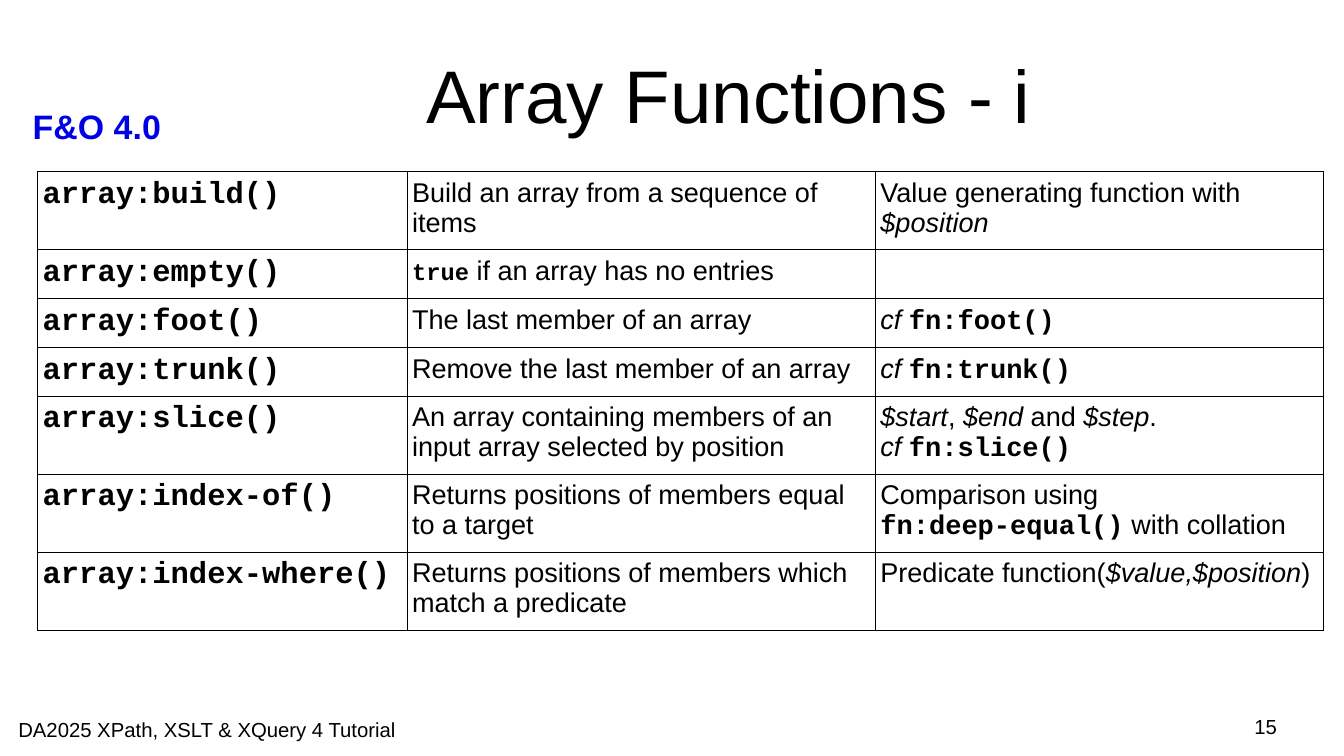
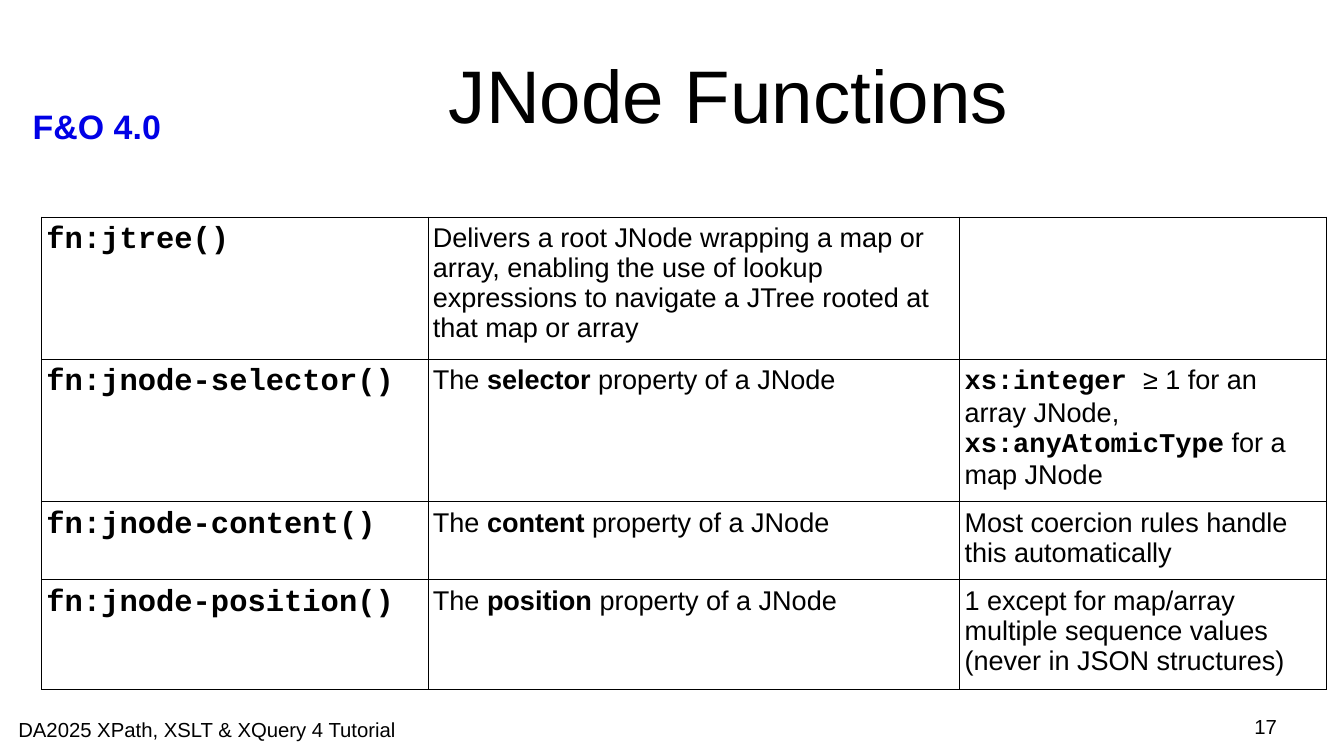
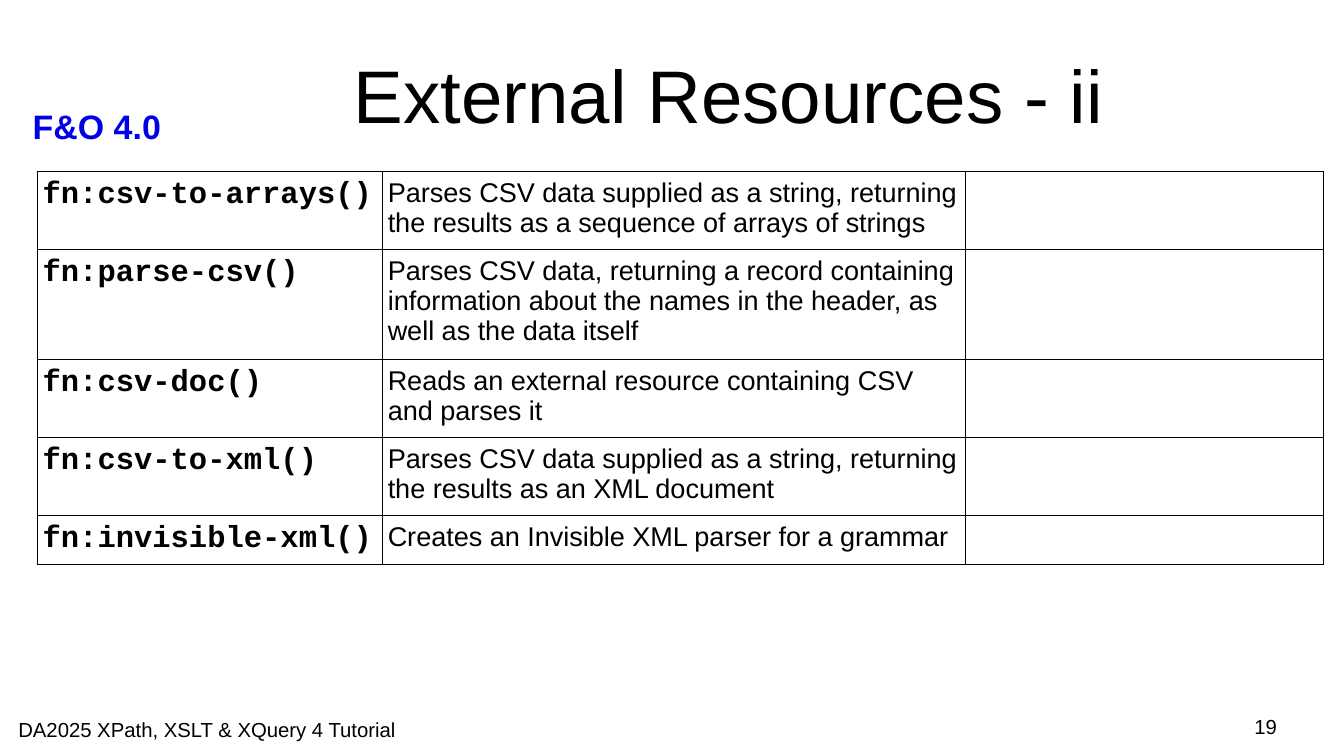
from dataclasses import dataclass

from lxml.etree import SubElement
from pptx import Presentation
from pptx.dml.color import RGBColor
from pptx.enum.text import MSO_ANCHOR as Anchor, PP_ALIGN as Align
from pptx.oxml.ns import qn
from pptx.util import Inches, Pt


@dataclass(frozen=True)
class Theme:
    sans: str = "Arial"
    mono: str = "Courier New"
    ink: str = "000000"
    accent: str = "0000E6"
    title: int = 44
    tag: int = 20
    name: int = 18
    body: int = 16
    small_code: int = 14
    footer: int = 12
    border: float = 0.57


@dataclass(frozen=True)
class Span:
    text: str
    size: int
    font: str = Theme.sans
    bold: bool = False
    italic: bool = False
    color: str = Theme.ink


THEME = Theme()
TAG_BOX = (0.17, 0.82, 1.38, 0.41)
TITLE_BOX = (1.48, 0.25, 8.99, 1.04)
FOOTER_BOX = (0.15, 5.88, 3.49, 0.19)
NUMBER_BOX = (7.9, 5.86, 2.57, 0.24)
ROW_HEIGHTS = {1: 0.4, 2: 0.64, 3: 0.9, 4: 1.16}
BREAK = "\n"


def plain(text):
    return Span(text, THEME.body)


def strong(text):
    return Span(text, THEME.body, bold=True)


def italic(text):
    return Span(text, THEME.body, italic=True)


def code(text, size=THEME.body):
    return Span(text, size, font=THEME.mono, bold=True)


def like(text):
    return [italic("cf "), code(text)]


def property_of_jnode(name):
    return [[plain("The "), strong(name), plain(" property of a JNode")]]


def write_paragraph(para, spans, align=Align.LEFT):
    para.alignment = align
    for span in spans:
        if span == BREAK:
            para.add_line_break()
            continue
        run = para.add_run()
        run.text = span.text
        font = run.font
        font.name, font.size = span.font, Pt(span.size)
        font.bold, font.italic = span.bold, span.italic
        font.color.rgb = RGBColor.from_string(span.color)


def add_label(page, box, span, align=Align.LEFT, anchor=Anchor.TOP, insets=(0, 0)):
    frame = page.shapes.add_textbox(*map(Inches, box)).text_frame
    frame.word_wrap = True
    frame.vertical_anchor = anchor
    frame.margin_left = frame.margin_right = Inches(insets[0])
    frame.margin_top = frame.margin_bottom = Inches(insets[1])
    write_paragraph(frame.paragraphs[0], [span], align)


def outline_cell(cell):
    properties = cell._tc.get_or_add_tcPr()
    for side in ("a:lnL", "a:lnR", "a:lnT", "a:lnB"):
        line = SubElement(properties, qn(side), w=str(Pt(THEME.border)))
        fill = SubElement(line, qn("a:solidFill"))
        SubElement(fill, qn("a:srgbClr"), val=THEME.ink)
    cell.fill.background()


def fill_cell(cell, paragraphs):
    cell.margin_left = cell.margin_right = Inches(0.04)
    cell.margin_top = cell.margin_bottom = Inches(0.05)
    outline_cell(cell)
    frame = cell.text_frame
    for index, spans in enumerate(paragraphs):
        para = frame.add_paragraph() if index else frame.paragraphs[0]
        write_paragraph(para, spans)


def add_function_table(page, left, top, widths, rows):
    heights = [ROW_HEIGHTS[lines] for lines, *_ in rows]
    box = (left, top, sum(widths), sum(heights))
    table = page.shapes.add_table(len(rows), len(widths), *map(Inches, box)).table
    table.first_row = table.horz_banding = False
    for column, width in zip(table.columns, widths):
        column.width = Inches(width)
    for row, height, (_, name, meaning, remark) in zip(table.rows, heights, rows):
        row.height = Inches(height)
        if isinstance(meaning, str):
            meaning = [[plain(meaning)]]
        contents = ([[code(name, THEME.name)]], meaning, remark)
        for cell, paragraphs in zip(row.cells, contents):
            fill_cell(cell, paragraphs)


def add_function_page(deck, number, title, left, top, widths, rows):
    page = deck.slides.add_slide(deck.slide_layouts[6])
    tag = Span("F&O 4.0", THEME.tag, bold=True, color=THEME.accent)
    add_label(page, TAG_BOX, tag, insets=(0.1, 0.05))
    add_label(page, TITLE_BOX, Span(title, THEME.title), Align.CENTER, Anchor.MIDDLE)
    add_function_table(page, left, top, widths, rows)
    footer = Span("DA2025 XPath, XSLT & XQuery 4 Tutorial", THEME.footer)
    add_label(page, FOOTER_BOX, footer)
    add_label(page, NUMBER_BOX, Span(str(number), THEME.footer), Align.RIGHT)


ARRAY_ROWS = [
    (2, "array:build()", "Build an array from a sequence of items",
     [[plain("Value generating function with "), italic("$position")]]),
    (1, "array:empty()",
     [[code("true", THEME.small_code), plain(" if an array has no entries")]], []),
    (1, "array:foot()", "The last member of an array", [like("fn:foot()")]),
    (1, "array:trunk()", "Remove the last member of an array", [like("fn:trunk()")]),
    (2, "array:slice()",
     "An array containing members of an input array selected by position",
     [[italic("$start"), plain(", "), italic("$end"), plain(" and "),
       italic("$step"), plain(".")], like("fn:slice()")]),
    (2, "array:index-of()", "Returns positions of members equal to a target",
     [[plain("Comparison using"), BREAK, code("fn:deep-equal()"),
       plain(" with collation")]]),
    (2, "array:index-where()", "Returns positions of members which match a predicate",
     [[plain("Predicate function("), italic("$value,$position"), plain(")")]]),
]

JNODE_ROWS = [
    (4, "fn:jtree()",
     "Delivers a root JNode wrapping a map or array, enabling the use of lookup "
     "expressions to navigate a JTree rooted at that map or array", []),
    (3, "fn:jnode-selector()", property_of_jnode("selector"),
     [[code("xs:integer "), plain("≥ 1 for an array JNode, "),
       code("xs:anyAtomicType"), plain(" for a map JNode")]]),
    (2, "fn:jnode-content()", property_of_jnode("content"),
     [[plain("Most coercion rules handle this automatically")]]),
    (3, "fn:jnode-position()", property_of_jnode("position"),
     [[plain("1 except for map/array multiple sequence values "
             "(never in JSON structures)")]]),
]

RESOURCE_ROWS = [
    (2, "fn:csv-to-arrays()",
     "Parses CSV data supplied as a string, returning the results as a sequence "
     "of arrays of strings", []),
    (3, "fn:parse-csv()",
     "Parses CSV data, returning a record containing information about the names "
     "in the header, as well as the data itself", []),
    (2, "fn:csv-doc()", "Reads an external resource containing CSV and parses it", []),
    (2, "fn:csv-to-xml()",
     "Parses CSV data supplied as a string, returning the results as an XML document",
     []),
    (1, "fn:invisible-xml()", "Creates an Invisible XML parser for a grammar", []),
]


def main():
    deck = Presentation()
    deck.slide_width, deck.slide_height = Inches(11.02), Inches(6.2)
    add_function_page(deck, 15, "Array Functions - i", 0.31, 1.41,
                      (3.03, 3.84, 3.67), ARRAY_ROWS)
    add_function_page(deck, 17, "JNode Functions", 0.34, 1.78,
                      (3.17, 4.36, 3.01), JNODE_ROWS)
    add_function_page(deck, 19, "External Resources - ii", 0.31, 1.41,
                      (2.83, 4.78, 2.93), RESOURCE_ROWS)
    deck.save("out.pptx")


if __name__ == "__main__":
    main()
